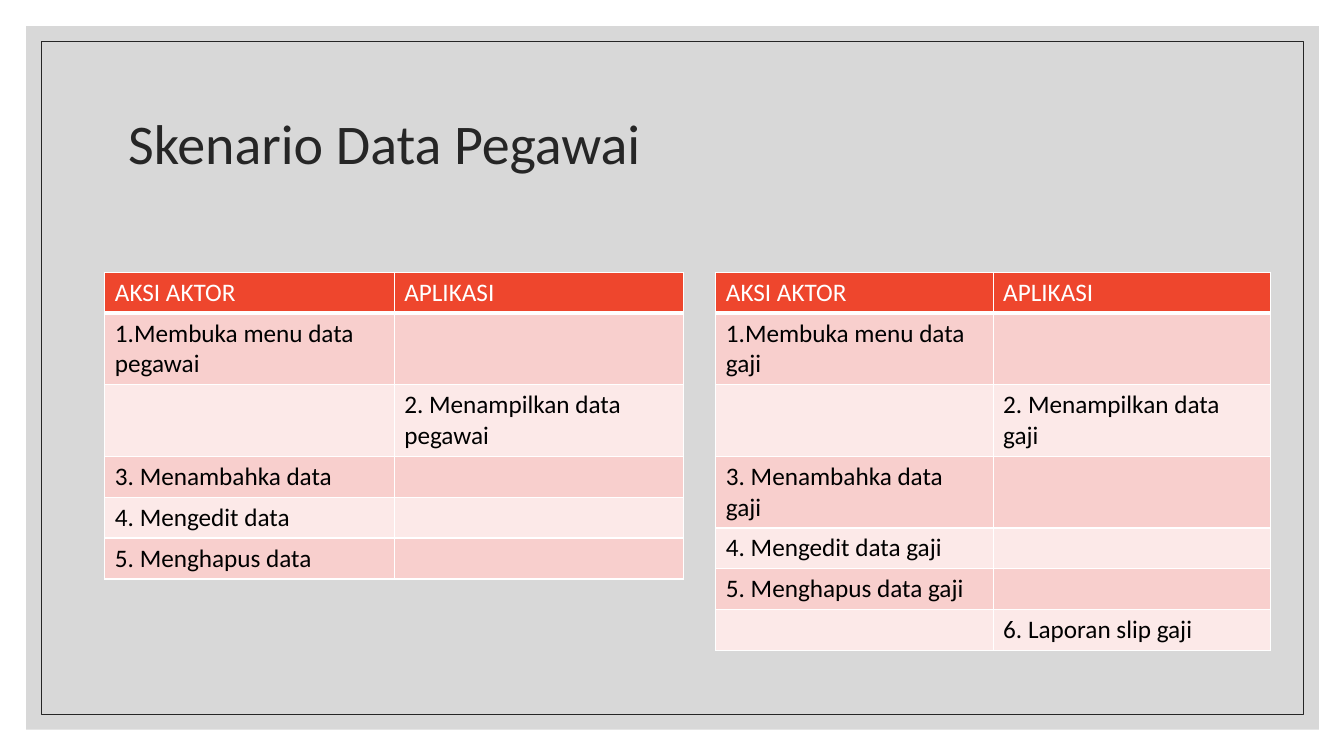
from lxml import etree
from pptx import Presentation
from pptx import util as u
from pptx.dml.color import RGBColor
from pptx.enum import shapes, text
from pptx.oxml.ns import qn

PX = 9144
FONT = "Calibri"
INK, WHITE, BLACK, GREY = "262626", "FFFFFF", "000000", "BFBFBF"
HEADER, BANDS = "EE462D", ("FCE9E8", "F8CFCD")
ROW_HEIGHT, TALL_ROW_HEIGHT = 40, 71

COLUMNS = ("AKSI AKTOR", "APLIKASI")
EMPLOYEE_STEPS = [
    COLUMNS,
    ("1.Membuka menu data pegawai", ""),
    ("", "2. Menampilkan data pegawai"),
    ("3. Menambahka data", ""),
    ("4. Mengedit data", ""),
    ("5. Menghapus data", ""),
]
SALARY_STEPS = [
    COLUMNS,
    ("1.Membuka menu data gaji", ""),
    ("", "2. Menampilkan data gaji"),
    ("3. Menambahka data gaji", ""),
    ("4. Mengedit data gaji", ""),
    ("5. Menghapus data gaji", ""),
    ("", "6. Laporan slip gaji"),
]


def px(*lengths):
    """Turn whole pixels into EMU."""
    return [u.Emu(length * PX) for length in lengths]


def colour(value):
    """Turn a hex string into a colour."""
    return RGBColor.from_string(value)


def add_span(para, words, size, ink):
    """Add one formatted run to a paragraph."""
    span = para.add_run()
    span.text = words
    span.font.name = FONT
    span.font.size = u.Pt(size)
    span.font.bold = False
    span.font.color.rgb = colour(ink)


def add_frame(page, box, inset):
    """Draw the translucent panel and the thin outline inside it."""
    left, top, width, height = box
    inner = (left + inset, top + inset, width - 2 * inset, height - 2 * inset)
    panel, outline = [
        page.shapes.add_shape(shapes.MSO_SHAPE.RECTANGLE, *px(*place))
        for place in (box, inner)
    ]
    panel.shadow.inherit = outline.shadow.inherit = False
    panel.fill.solid()
    panel.fill.fore_color.rgb = colour(GREY)
    tint = panel.element.spPr.find(qn("a:solidFill"))[0]
    etree.SubElement(tint, qn("a:alpha"), val="60000")
    panel.line.fill.background()
    outline.fill.background()
    outline.line.color.rgb = colour(INK)
    outline.line.width = u.Pt(0.5)


def place_title(page, box, words):
    """Move the title placeholder in front of the frame and format it."""
    title = page.shapes.title
    title.element.getparent().append(title.element)
    title.left, title.top, title.width, title.height = px(*box)
    title.text_frame.vertical_anchor = text.MSO_ANCHOR.MIDDLE
    para = title.text_frame.paragraphs[0]
    para.alignment = text.PP_ALIGN.LEFT
    para.line_spacing = 0.9
    add_span(para, words, 40, INK)


def add_borders(cell, bottom):
    """Give a cell white borders, with the bottom width in points."""
    properties = cell._tc.get_or_add_tcPr()
    for side, width in (("L", 1), ("R", 1), ("T", 1), ("B", bottom)):
        line = etree.SubElement(properties, qn(f"a:ln{side}"), w=str(u.Pt(width)))
        fill = etree.SubElement(line, qn("a:solidFill"))
        etree.SubElement(fill, qn("a:srgbClr"), val=WHITE)


def add_scenario(page, box, steps, tall_rows):
    """Build a two-column scenario table, with given rows two lines high."""
    left, top, width = box
    heights = [
        TALL_ROW_HEIGHT if index in tall_rows else ROW_HEIGHT
        for index in range(len(steps))
    ]
    place = px(left, top, width, sum(heights))
    table = page.shapes.add_table(len(steps), len(COLUMNS), *place).table
    table.first_row = table.horz_banding = False
    for index, step in enumerate(steps):
        is_header = index == 0
        table.rows[index].height = px(heights[index])[0]
        for column, words in enumerate(step):
            cell = table.cell(index, column)
            add_borders(cell, 3 if is_header else 1)
            cell.fill.solid()
            cell.fill.fore_color.rgb = colour(HEADER if is_header else BANDS[index % 2])
            if words:
                para = cell.text_frame.paragraphs[0]
                add_span(para, words, 18, WHITE if is_header else BLACK)


def build_scenario_page(deck):
    """Add the slide with the employee and salary scenarios."""
    page = deck.slides.add_slide(deck.slide_layouts[5])
    add_frame(page, (26, 26, 1282, 698), 15)
    place_title(page, (117, 70, 1100, 150), "Skenario Data Pegawai")
    add_scenario(page, (104, 270, 574), EMPLOYEE_STEPS, (1, 2))
    add_scenario(page, (710, 270, 550), SALARY_STEPS, (1, 2, 3))


def main():
    """Build and save the deck."""
    deck = Presentation()
    deck.slide_width, deck.slide_height = px(1333, 750)
    build_scenario_page(deck)
    deck.save("out.pptx")


if __name__ == "__main__":
    main()
